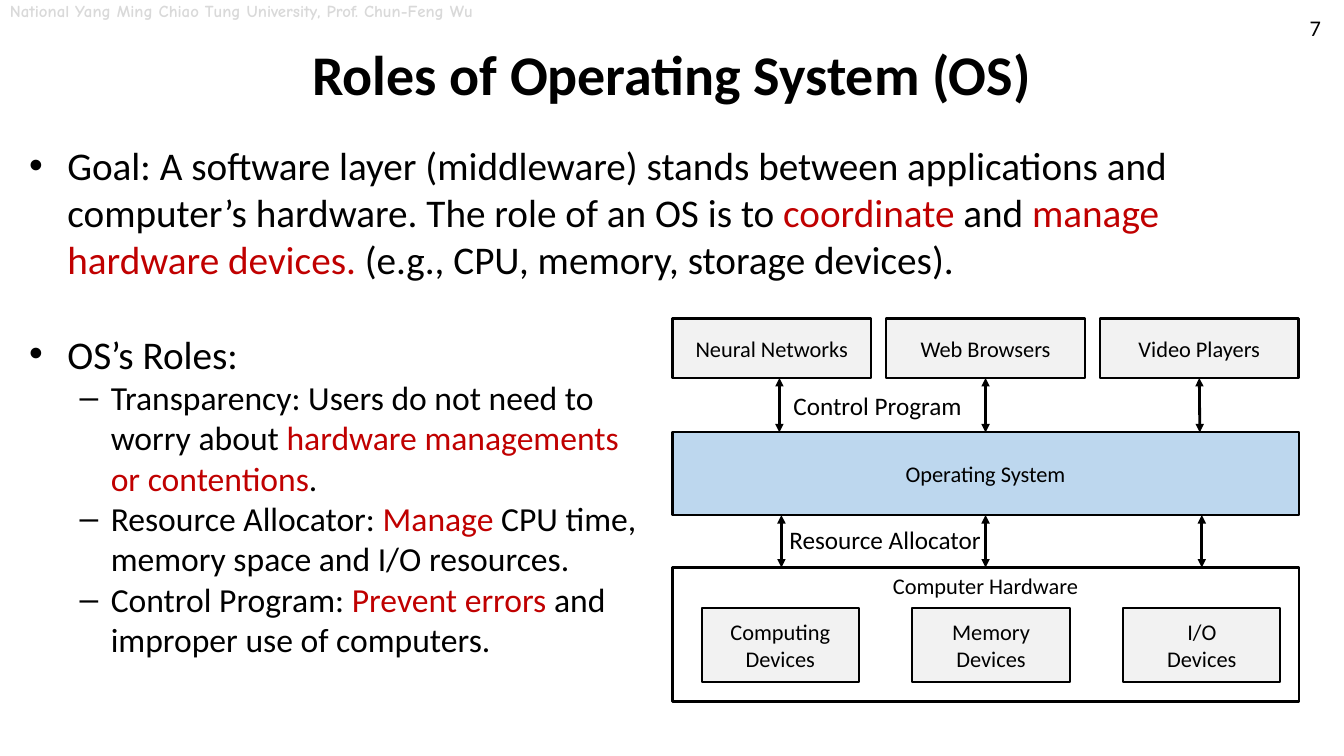
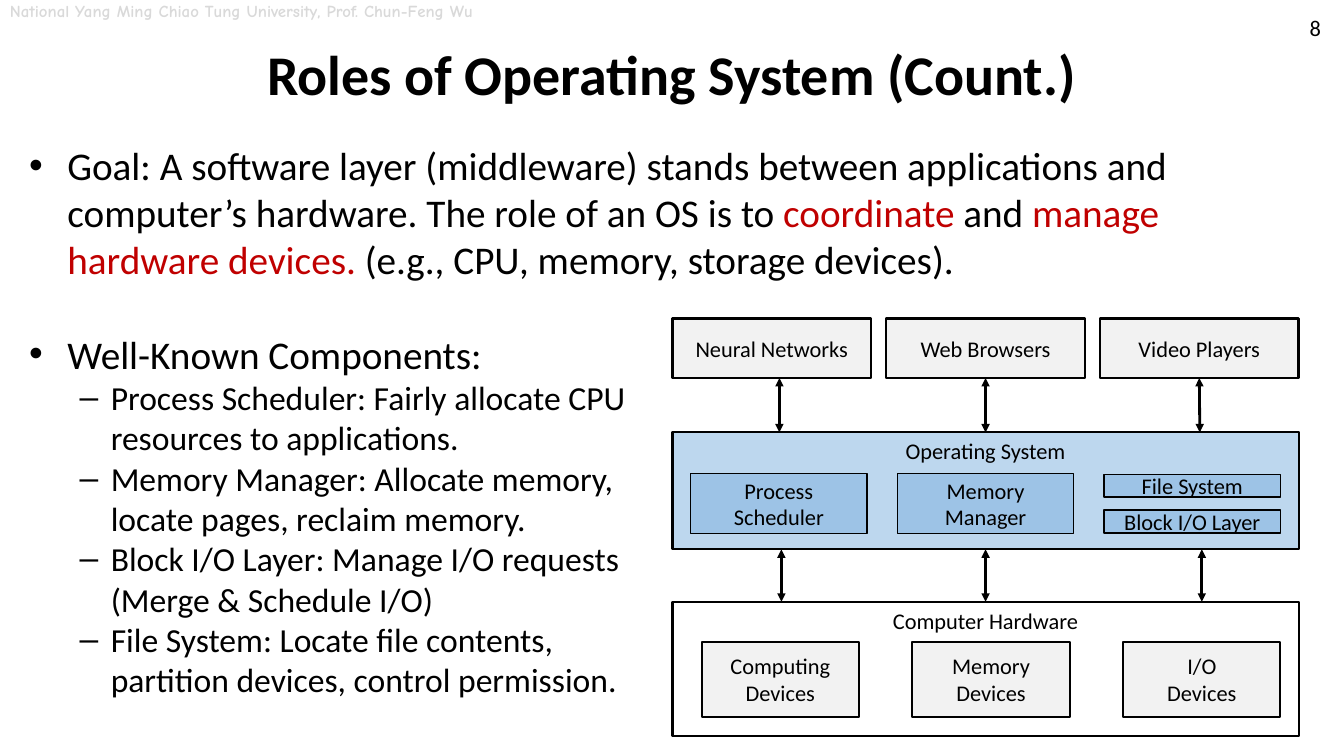
from pptx import Presentation
from pptx.dml.color import RGBColor
from pptx.enum.shapes import MSO_CONNECTOR as Conn, MSO_SHAPE as Shape
from pptx.enum.text import MSO_ANCHOR as Anchor, PP_ALIGN as Align
from pptx.oxml.ns import qn
from pptx.util import Inches, Pt
from lxml.etree import SubElement as Sub

BLACK, RED, GREY = "000000", "C00000", "D9D9D9"
PALE, SKY, BLUE = "F2F2F2", "BDD7EE", "9DC3E6"
FONT, HAND = "Calibri", "Comic Neue"
SCHOOL = "National Yang Ming Chiao Tung University, Prof. Chun-Feng Wu"

# Asterisks enclose the red words
GOAL = ("Goal: A software layer (middleware) stands between applications and "
        "computer’s hardware. The role of an OS is to *coordinate* and "
        "*manage hardware devices. *(e.g., CPU, memory, storage devices).")
ROLES = [
    "Transparency: Users do not need to\nworry about *hardware managements\nor contentions*.",
    "Resource Allocator: *Manage *CPU time,\nmemory space and I/O resources.",
    "Control Program: *Prevent errors *and\nimproper use of computers.",
]
PARTS = [
    "Process Scheduler: Fairly allocate CPU\nresources to applications.",
    "Memory Manager: Allocate memory,\nlocate pages, reclaim memory.",
    "Block I/O Layer: Manage I/O requests\n(Merge & Schedule I/O)",
    "File System: Locate file contents,\npartition devices, control permission.",
]
APPS = ["Neural Networks", "Web Browsers", "Video Players"]
DEVICES = ["Computing Devices", "Memory Devices", "I/O\nDevices"]
# Name, left, top and height inside the operating system band
MODULES = [
    ("Process Scheduler", 0.18, 0.41, 0.59),
    ("Memory Manager", 2.23, 0.41, 0.59),
    ("File System", 4.28, 0.42, 0.22),
    ("Block I/O Layer", 4.28, 0.77, 0.23),
]


def color(code):
    return RGBColor.from_string(code)


def style(font, size, code=BLACK, bold=False, name=FONT):
    font.size, font.bold, font.name = Pt(size), bold, name
    font.color.rgb = color(code)


def text(slide, box, words, size, code=BLACK, bold=False, name=FONT,
         align=Align.LEFT, anchor=Anchor.TOP, wrap=False):
    frame = slide.shapes.add_textbox(*map(Inches, box)).text_frame
    frame.word_wrap, frame.vertical_anchor = wrap, anchor
    par = frame.paragraphs[0]
    par.text, par.alignment = words, align
    for run in par.runs:
        style(run.font, size, code, bold, name)
    return par


def block(slide, box, words, fill=None, anchor=Anchor.MIDDLE, width=1.5):
    rect = slide.shapes.add_shape(Shape.RECTANGLE, *map(Inches, box))
    rect.shadow.inherit = False
    if fill:
        rect.fill.solid()
        rect.fill.fore_color.rgb = color(fill)
    else:
        rect.fill.background()
    rect.line.color.rgb, rect.line.width = color(BLACK), Pt(width)
    frame = rect.text_frame
    frame.word_wrap, frame.vertical_anchor = True, anchor
    par = frame.paragraphs[0]
    par.text, par.alignment = words, Align.CENTER
    for run in par.runs:
        style(run.font, 16)
    return rect


def arrow(slide, x, top, end, above=None, below=None):
    line = slide.shapes.add_connector(
        Conn.STRAIGHT, Inches(x), Inches(top), Inches(x), Inches(end))
    line.line.color.rgb, line.line.width = color(BLACK), Pt(2)
    if above:
        line.begin_connect(above, 2)
    if below:
        line.end_connect(below, 0)
    stroke = line.line._get_or_add_ln()
    for tag in ("a:headEnd", "a:tailEnd"):
        Sub(stroke, qn(tag), type="triangle")
    Sub(line._element.spPr, qn("a:effectLst"))


def bullet(par, words, mark, left, hang, size):
    props = par._p.get_or_add_pPr()
    props.set("marL", str(Inches(left)))
    props.set("indent", str(-Inches(hang)))
    Sub(props, qn("a:buFont"), typeface="Arial")
    Sub(props, qn("a:buChar"), char=mark)
    for i, piece in enumerate(words.split("*")):
        for j, row in enumerate(piece.split("\n")):
            if j:
                par.add_line_break()
            if row:
                run = par.add_run()
                run.text = row
                style(run.font, size, RED if i % 2 else BLACK)


def frame(slide, title, number):
    """Header, title and page number."""
    text(slide, (0, -0.04, 5.19, 0.3), SCHOOL, 12, GREY, True, HAND)
    head = text(slide, (0.19, 0.19, 12.94, 1.16), title, 40, bold=True,
                align=Align.CENTER, anchor=Anchor.MIDDLE, wrap=True)
    head.line_spacing = 0.9
    text(slide, (12.76, 0.01, 0.57, 0.53), str(number), 16,
         align=Align.CENTER, anchor=Anchor.MIDDLE, wrap=True)


def body(slide, box, topic, items):
    """Goal, then a topic with its points."""
    area = slide.shapes.add_textbox(*map(Inches, box)).text_frame
    area.word_wrap = True
    goal = area.paragraphs[0]
    bullet(goal, GOAL, "•", 0.38, 0.38, 28)
    goal.space_after = Pt(34)
    bullet(area.add_paragraph(), topic, "•", 0.38, 0.38, 28)
    for item in items:
        par = area.add_paragraph()
        par.level = 1
        bullet(par, item, "–", 0.81, 0.31, 24)


def stack(slide, box, depth, modules=(), labels=()):
    """Applications over the operating system over the hardware."""
    left, top, width = box
    mid = left + width / 2
    base = top + 0.59
    roof = top + 1.13
    floor = roof + depth
    ground = floor + 0.52

    # Layers
    core = block(slide, (left, roof, width, depth), "Operating System", SKY,
                 Anchor.TOP if modules else Anchor.MIDDLE)
    apps = [block(slide, (left + 2.12 * i, top, 1.97, 0.59), name, PALE)
            for i, name in enumerate(APPS)]
    hard = block(slide, (left, ground, width, 1.33), "Computer Hardware",
                 anchor=Anchor.TOP)
    for i, name in enumerate(DEVICES):
        block(slide, (left + 0.29 + 2.09 * i, ground + 0.4, 1.56, 0.74), name, PALE)
    for name, x, y, high in modules:
        block(slide, (left + x, roof + y, 1.75, high), name, BLUE, width=1)

    # Arrows between the layers
    arrow(slide, left + 1.06, base, roof)
    arrow(slide, mid, base, roof, apps[1], core)
    arrow(slide, left + 5.23, base, roof, apps[2])
    arrow(slide, left + 1.08, floor, ground)
    arrow(slide, mid, floor, ground, core, hard)
    arrow(slide, left + 5.25, floor, ground)

    # Labels beside the arrows
    spots = [(left + 1.1, base + 0.07, 1.89, 0.4),
             (left + 1.06, floor + 0.04, 2.12, 0.4)]
    for spot, name in zip(spots, labels):
        text(slide, spot, name, 18)


def main():
    deck = Presentation()
    deck.slide_width, deck.slide_height = Inches(13.33), Inches(7.5)
    pages = [
        ("Roles of Operating System (OS)", "OS’s Roles:", ROLES,
         0.82, (), ("Control Program", "Resource Allocator")),
        ("Roles of Operating System (Count.)", "Well-Known Components:", PARTS,
         1.16, MODULES, ()),
    ]
    for number, (title, topic, items, depth, modules, labels) in enumerate(pages, 7):
        slide = deck.slides.add_slide(deck.slide_layouts[6])
        frame(slide, title, number)
        body(slide, (0.19, 1.35, 12.81, 5.95), topic, items)
        stack(slide, (6.67, 3.16, 6.21), depth, modules, labels)
    deck.save("out.pptx")


if __name__ == "__main__":
    main()
